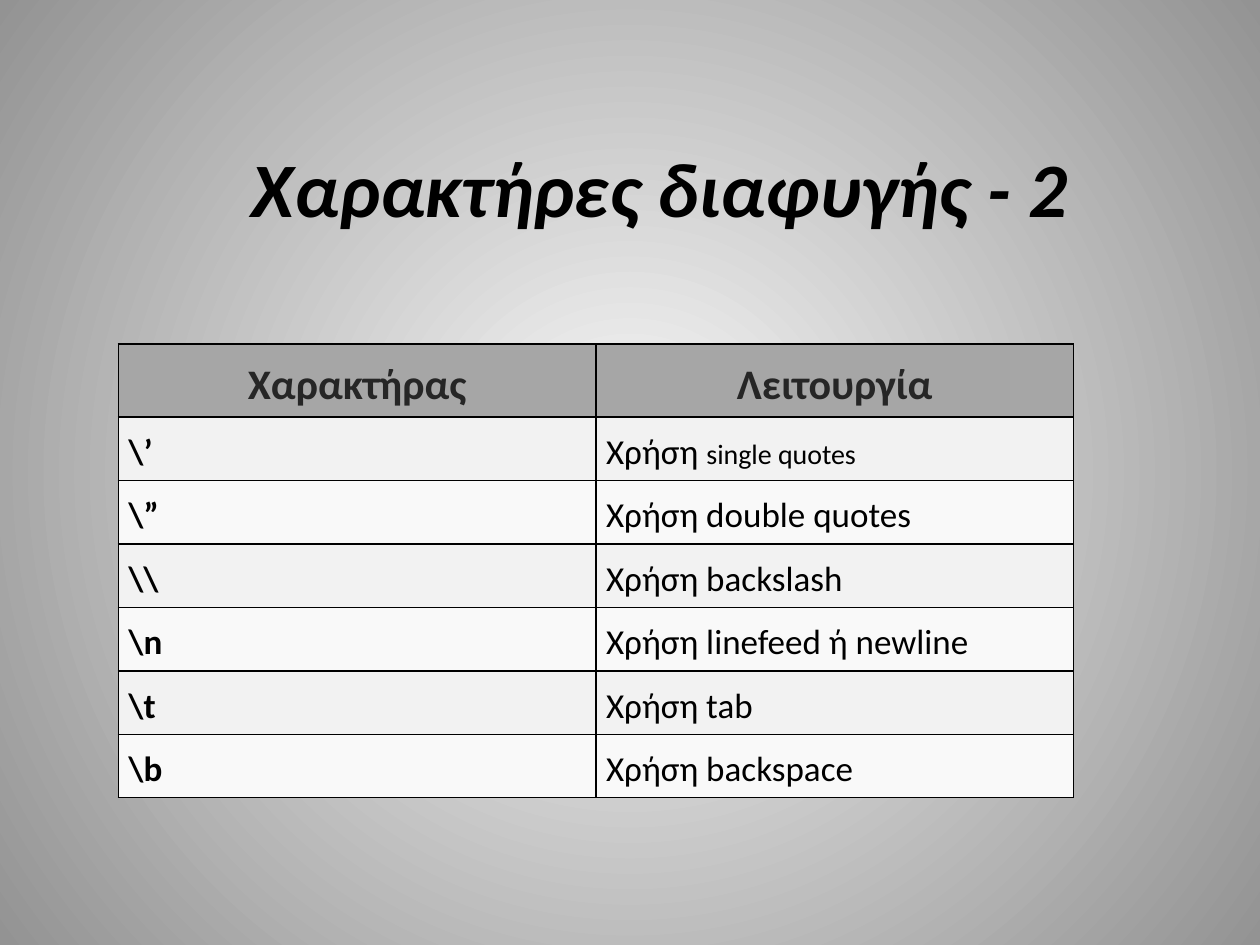
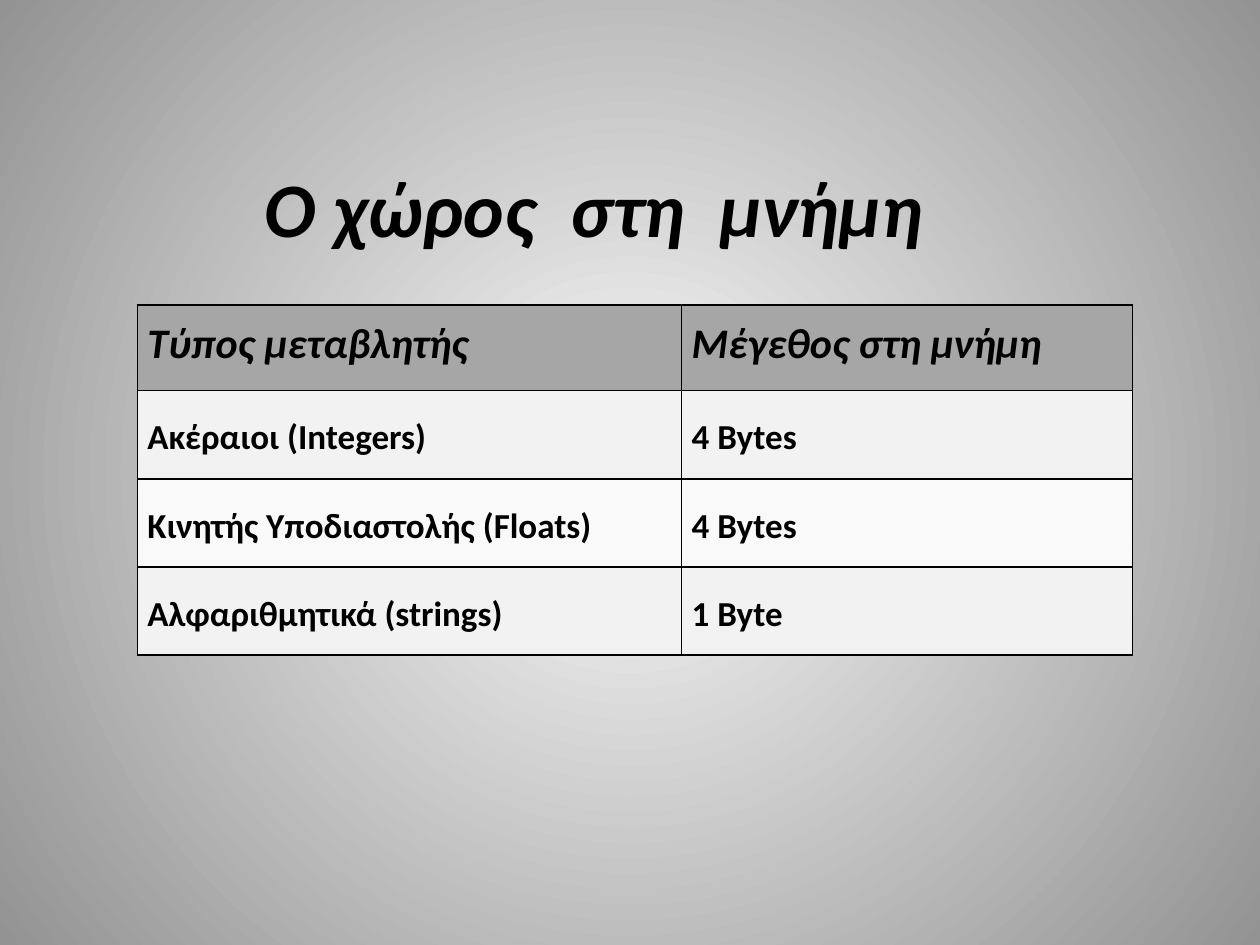
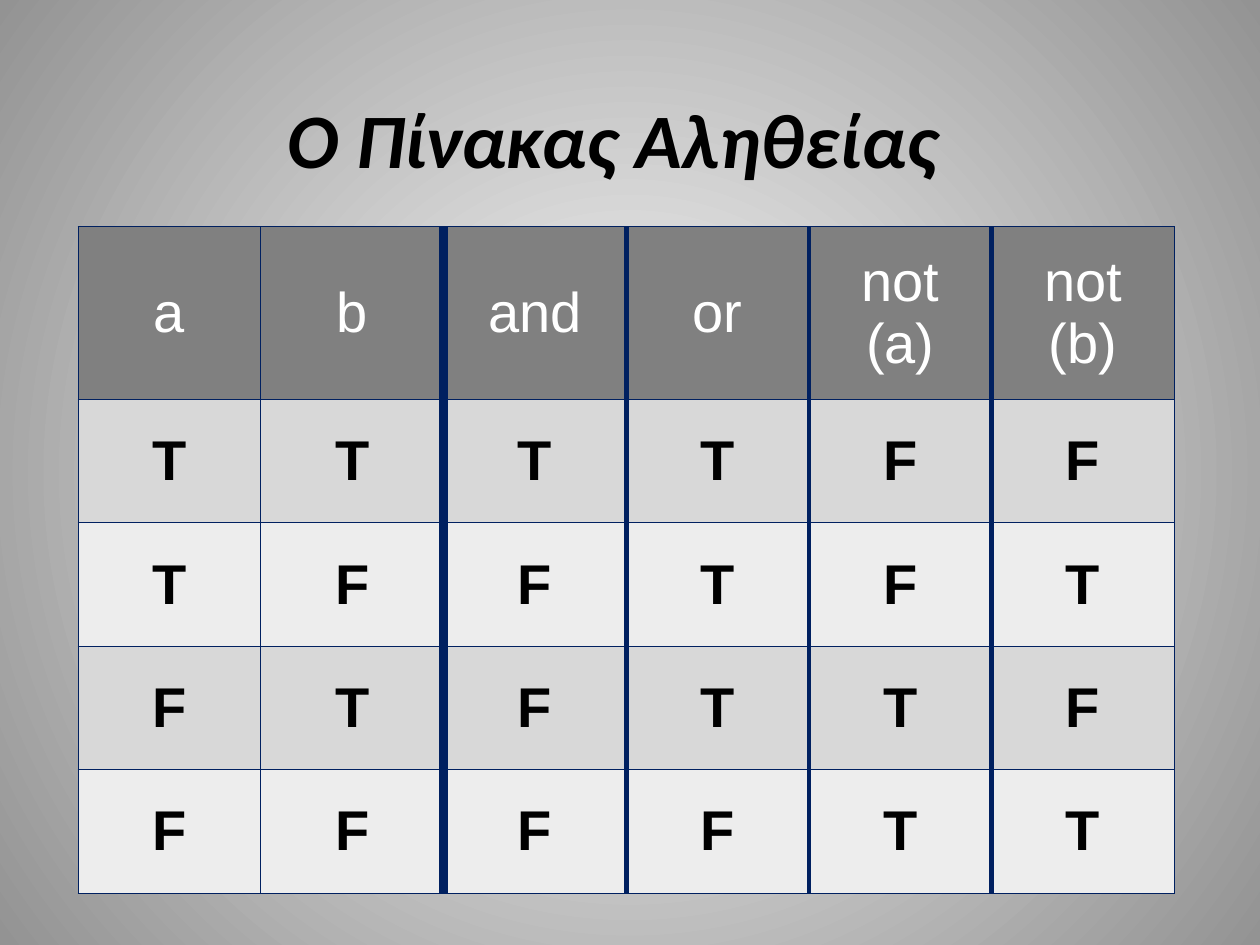
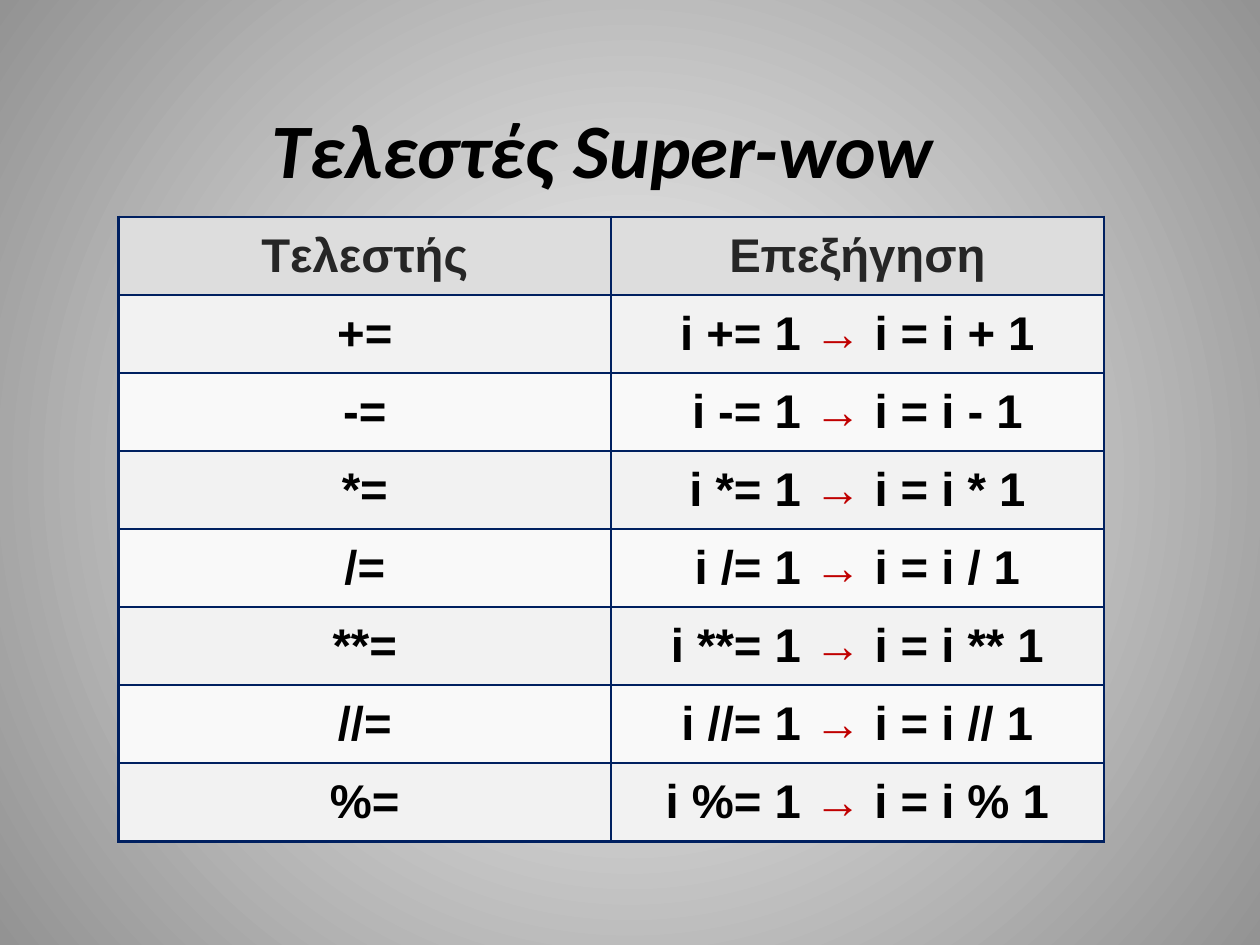
from dataclasses import dataclass
from itertools import product

from lxml.etree import SubElement
from pptx import Presentation
from pptx.dml.color import RGBColor
from pptx.enum.text import MSO_ANCHOR as Anchor, PP_ALIGN as Align
from pptx.oxml.ns import qn
from pptx.util import Inches, Pt

COLORS = {
    "black": "000000", "white": "FFFFFF", "charcoal": "262626",
    "navy": "002060", "red": "C00000",
    "glow": "F9F9F9", "rim": "939393",
    "header": "A6A6A6", "header_dark": "808080", "header_light": "DDDDDD",
    "band": "F2F2F2", "band_alt": "F9F9F9",
    "truth_band": "D8D8D8", "truth_band_alt": "EDEDED",
}
PALE_BANDS = ("band", "band_alt")


@dataclass
class Style:
    """Font and paragraph settings of a piece of text."""
    size: float
    color: str = "black"
    font: str = "Calibri"
    bold: bool = True
    italic: bool = False
    align: Align = Align.LEFT
    anchor: Anchor = Anchor.TOP
    line_spacing: float = 1.0
    space_after: float = 0


@dataclass
class Grid:
    """Fills, lines and cell margins of a table."""
    header_fill: str
    bands: tuple
    line_color: str
    edges: list  # widths of the vertical lines, left to right
    rule: float  # width of the horizontal lines
    margins: tuple  # horizontal and vertical, in inches


TITLE = Style(44, italic=True, align=Align.CENTER)


def rgb(name):
    """Return the named colour."""
    return RGBColor.from_string(COLORS[name])


def paint_background(master):
    """Give all slides a round gradient, light in the centre."""
    fill = master.background.fill
    fill.gradient()
    for stop, position, name in zip(fill.gradient_stops, (0, 1), ("glow", "rim")):
        stop.position = position
        stop.color.rgb = rgb(name)
    gradient = next(master._element.iter(qn("a:gradFill")))
    for line in gradient.findall(qn("a:lin")):
        gradient.remove(line)
    circle = SubElement(gradient, qn("a:path"), path="circle")
    SubElement(circle, qn("a:fillToRect"), l="50000", t="50000", r="50000", b="50000")


def write(para, parts, style):
    """Fill a paragraph with a string or with (text, changes) parts."""
    para.alignment = style.align
    para.line_spacing = style.line_spacing
    para.space_after = Pt(style.space_after)
    for text, changes in [(parts, {})] if isinstance(parts, str) else parts:
        span = para.add_run()
        span.text = text
        font = span.font
        font.name = style.font
        font.size = Pt(changes.get("size", style.size))
        font.bold = style.bold
        font.italic = style.italic
        font.color.rgb = rgb(changes.get("color", style.color))


def add_title(page, text, left, top, width=7.39, indent=0):
    """Add the slide title, standing on the bottom of its box."""
    box = page.shapes.add_textbox(
        Inches(left), Inches(top), Inches(width), Inches(1.25))
    frame = box.text_frame
    frame.word_wrap = True
    frame.vertical_anchor = Anchor.BOTTOM
    frame.margin_left = frame.margin_right = Inches(0.1)
    frame.margin_top = frame.margin_bottom = Inches(0.1)
    para = frame.paragraphs[0]
    write(para, text, TITLE)
    if indent:
        para._p.get_or_add_pPr().set("marL", str(Inches(indent)))


def draw_borders(cell, color, widths):
    """Draw the left, right, top and bottom lines of a cell."""
    properties = cell._tc.get_or_add_tcPr()
    for side, width in zip("LRTB", widths):
        line = SubElement(properties, qn("a:ln" + side), w=str(Pt(width)))
        solid = SubElement(line, qn("a:solidFill"))
        SubElement(solid, qn("a:srgbClr"), val=COLORS[color])


def add_grid(page, left, top, columns, heights, rows, grid, header, body):
    """Add a table; body holds one style for each column."""
    table = page.shapes.add_table(
        len(rows), len(columns), Inches(left), Inches(top),
        Inches(sum(columns)), Inches(sum(heights))).table
    table.horz_banding = False
    for column, width in zip(table.columns, columns):
        column.width = Inches(width)
    for row, height in zip(table.rows, heights):
        row.height = Inches(height)
    for r, row in enumerate(rows):
        fill = grid.bands[(r - 1) % 2] if r else grid.header_fill
        for c, parts in enumerate(row):
            style = body[c] if r else header
            cell = table.cell(r, c)
            cell.margin_left = cell.margin_right = Inches(grid.margins[0])
            cell.margin_top = cell.margin_bottom = Inches(grid.margins[1])
            cell.vertical_anchor = style.anchor
            draw_borders(cell, grid.line_color,
                         (grid.edges[c], grid.edges[c + 1], grid.rule, grid.rule))
            cell.fill.solid()
            cell.fill.fore_color.rgb = rgb(fill)
            write(cell.text_frame.paragraphs[0], parts, style)


def build_escapes(page):
    """Escape characters and what they do."""
    add_title(page, "Χαρακτήρες διαφυγής - 2", 1.02, 0.7, 7.62, indent=0.82)
    rows = [
        ("Χαρακτήρας", "Λειτουργία"),
        ("\\’", [("Χρήση ", {}), ("single quotes", {"size": 16})]),
        ("\\”", "Χρήση double quotes"),
        ("\\\\", "Χρήση backslash"),
        ("\\n", "Χρήση linefeed ή newline"),
        ("\\t", "Χρήση tab"),
        ("\\b", "Χρήση backspace"),
    ]
    grid = Grid("header", PALE_BANDS, "black", [1] * 3, 1, (0.08, 0.06))
    header = Style(24, "charcoal", align=Align.CENTER, line_spacing=1.15)
    body = [Style(20, bold=bold, line_spacing=1.15) for bold in (True, False)]
    add_grid(page, 0.94, 2.73, [3.79] * 2, [0.57] + [0.49] * 6,
             rows, grid, header, body)


def build_memory(page):
    """Memory size of each variable type."""
    add_title(page, "O χώρος  στη  μνήμη", 1.02, 0.86)
    rows = [
        ("Τύπος μεταβλητής", "Μέγεθος στη μνήμη"),
        ("Ακέραιοι (Integers)", "4 Bytes"),
        ("Κινητής Υποδιαστολής (Floats)", "4 Bytes"),
        ("Αλφαριθμητικά (strings)", "1 Byte"),
    ]
    grid = Grid("header", PALE_BANDS, "black", [1] * 3, 1, (0.08, 0.05))
    header = Style(24, italic=True, line_spacing=1.15, space_after=10)
    body = Style(20, anchor=Anchor.MIDDLE, line_spacing=1.15, space_after=10)
    add_grid(page, 1.09, 2.42, [4.32, 3.58], [0.68] + [0.7] * 3,
             rows, grid, header, [body] * 2)


def build_truth_table(page):
    """Truth table of the logical operators."""
    add_title(page, "Ο Πίνακας Αληθείας", 1.17, 0.31)
    rows = [("a", "b", "and", "or", "not (a)", "not (b)")]
    for a, b in product((True, False), repeat=2):
        results = (a, b, a and b, a or b, not a, not b)
        rows.append(["T" if value else "F" for value in results])
    grid = Grid("header_dark", ("truth_band", "truth_band_alt"), "navy",
                [0.75, 0.75, 6, 3, 3, 3, 0.75], 0.75, (0.1, 0.07))
    header = Style(32, "white", "Arial", bold=False,
                   align=Align.CENTER, anchor=Anchor.MIDDLE)
    body = Style(32, font="Arial", align=Align.CENTER, anchor=Anchor.MIDDLE)
    add_grid(page, 0.62, 1.8, [1.45] * 6, [1.37] + [0.98] * 4,
             rows, grid, header, [body] * 6)


def build_operators(page):
    """Assignment operators and their long forms."""
    add_title(page, "Τελεστές Super-wow", 1.09, 0.39)
    rows = [("Tελεστής", "Eπεξήγηση")]
    for sign in ("+", "-", "*", "/", "**", "//", "%"):
        rows.append((f"{sign}=", [(f"i {sign}= 1 ", {}),
                                  ("→ ", {"color": "red"}),
                                  (f"i = i {sign} 1", {})]))
    grid = Grid("header_light", PALE_BANDS, "navy", [1.5] * 3, 1.5, (0.1, 0.07))
    header, body = [Style(27, color, "Arial", align=Align.CENTER,
                          anchor=Anchor.MIDDLE) for color in ("charcoal", "black")]
    add_grid(page, 0.94, 1.72, [3.91] * 2, [0.62] * len(rows),
             rows, grid, header, [body] * 2)


def main():
    """Build the deck and save it."""
    deck = Presentation()
    deck.slide_width, deck.slide_height = Inches(10), Inches(7.5)
    paint_background(deck.slide_master)
    blank = deck.slide_layouts[6]
    for build in (build_escapes, build_memory, build_truth_table, build_operators):
        build(deck.slides.add_slide(blank))
    deck.save("out.pptx")


main()
